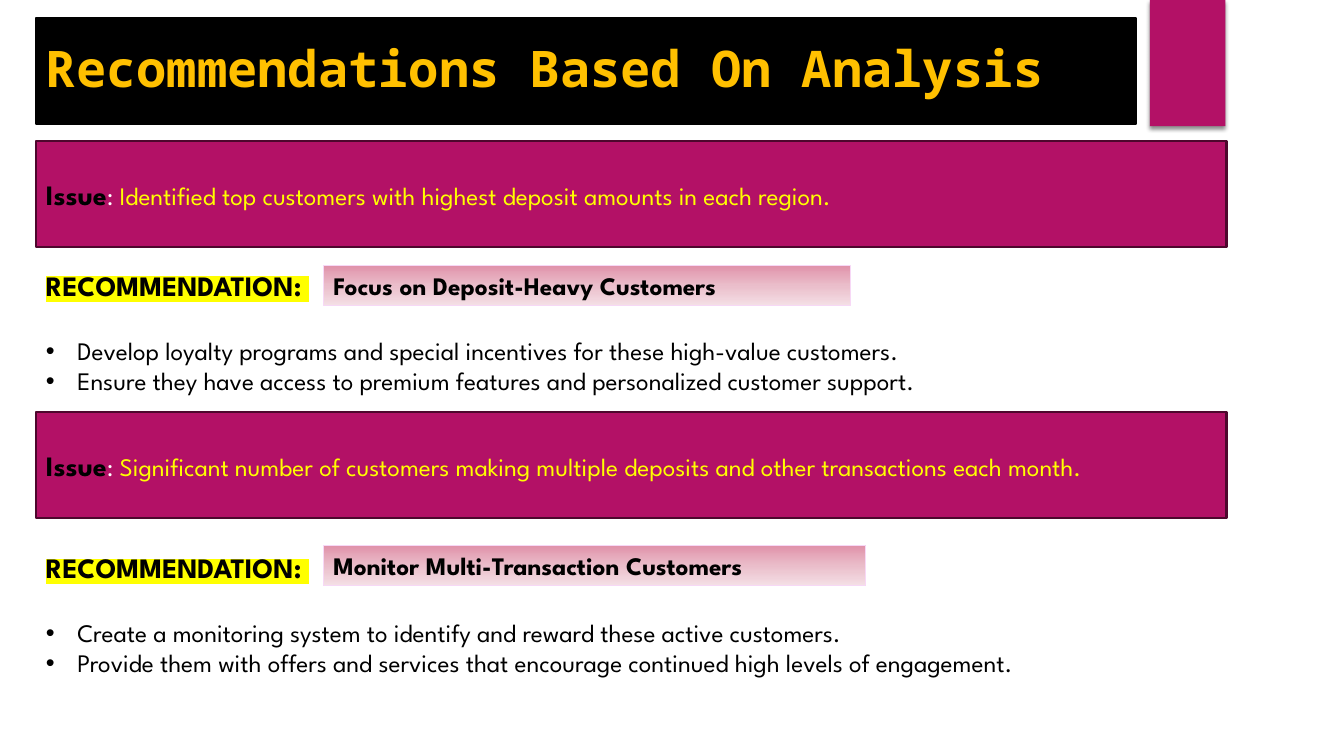
from copy import deepcopy
from dataclasses import dataclass

from lxml import etree
from pptx import Presentation
from pptx.dml.color import RGBColor as Rgb
from pptx.enum.shapes import MSO_SHAPE as Shape
from pptx.enum.text import MSO_ANCHOR as Anchor, MSO_AUTO_SIZE as Fit, PP_ALIGN as Align
from pptx.oxml.ns import qn
from pptx.util import Cm, Pt

TITLE = "Recommendations Based On Analysis"
LABEL = "RECOMMENDATION: "
SECTIONS = [
    {
        "issue": "Identified top customers with highest deposit amounts in each region.",
        "advice": "Focus on Deposit-Heavy Customers",
        "steps": [
            "Develop loyalty programs and special incentives for these high-value customers.",
            "Ensure they have access to premium features and personalized customer support.",
        ],
        "issue_top": 3.56, "notes_top": 6.63, "advice_top": 6.68, "advice_width": 13.28,
    },
    {
        "issue": "Significant number of customers making multiple deposits"
                 " and other transactions each month.",
        "advice": "Monitor Multi-Transaction Customers",
        "steps": [
            "Create a monitoring system to identify and reward these active customers.",
            "Provide them with offers and services that encourage"
            " continued high levels of engagement.",
        ],
        "issue_top": 10.39, "notes_top": 13.74, "advice_top": 13.74, "advice_width": 13.67,
    },
]


@dataclass(frozen=True)
class Theme:
    body_font: str = "League Spartan"
    title_font: str = "Noto Sans Mono"
    title_size: int = 36
    label_size: int = 20
    body_size: int = 18
    black: str = "000000"
    white: str = "FFFFFF"
    gold: str = "FFC000"
    yellow: str = "FFFF00"
    magenta: str = "B31166"
    plum: str = "4E072D"
    advice_line: str = "F7D8F6"
    advice_stops: tuple = ((0, "E091A9"), (0.5, "EABDCA"), (1, "F4DFE5"))


THEME = Theme()
LEFT, WIDTH, BAR_HEIGHT = 0.91, 30, 2.67
NOTES_HEIGHT, ADVICE_LEFT, ADVICE_HEIGHT = 3.51, 8.15, 1.02
BULLET_INDENT = 0.79


def add_span(para, text, size, color, bold=False, font=THEME.body_font):
    span = para.add_run()
    span.text = text
    formats = {"size": Pt(size), "bold": bold, "name": font}
    for name, value in formats.items():
        setattr(span.font, name, value)
    span.font.color.rgb = Rgb.from_string(color)
    return span


def highlight(span, color):
    mark = etree.Element(qn("a:highlight"))
    etree.SubElement(mark, qn("a:srgbClr"), val=color)
    span.font._element.find(qn("a:solidFill")).addnext(mark)


def add_bullet(para):
    props = para._p.get_or_add_pPr()
    props.set("marL", str(Cm(BULLET_INDENT)))
    props.set("indent", str(-Cm(BULLET_INDENT)))
    etree.SubElement(props, qn("a:buFont"), typeface="Arial")
    etree.SubElement(props, qn("a:buChar"), char="•")


def add_box(page, left, top, width, height, fill=None, line=None, line_width=1.5):
    box = page.shapes.add_shape(Shape.RECTANGLE, Cm(left), Cm(top), Cm(width), Cm(height))
    box.shadow.inherit = False
    if fill:
        box.fill.solid()
        box.fill.fore_color.rgb = Rgb.from_string(fill)
    if line:
        box.line.color.rgb = Rgb.from_string(line)
        box.line.width = Pt(line_width)
    else:
        box.line.fill.background()
    box.text_frame.paragraphs[0].alignment = Align.LEFT
    return box


def add_accent(page):
    """Add the corner block with its soft shadow below."""
    box = add_box(page, 28.98, 0, 1.9, 3.18, THEME.magenta)
    effects = box._element.spPr.find(qn("a:effectLst"))
    shadow = etree.SubElement(effects, qn("a:outerShdw"), blurRad=str(Pt(3)),
                              dist=str(Pt(2)), dir="5400000", rotWithShape="0")
    color = etree.SubElement(shadow, qn("a:srgbClr"), val=THEME.black)
    etree.SubElement(color, qn("a:alpha"), val="45000")


def add_title(page):
    box = add_box(page, LEFT, 0.46, 27.71, BAR_HEIGHT, THEME.black, THEME.black)
    para = box.text_frame.paragraphs[0]
    para.line_spacing = 0.9
    add_span(para, TITLE, THEME.title_size, THEME.gold, True, THEME.title_font)


def add_issue(page, section):
    box = add_box(page, LEFT, section["issue_top"], WIDTH, BAR_HEIGHT,
                  THEME.magenta, THEME.plum)
    para = box.text_frame.paragraphs[0]
    add_span(para, "Issue", THEME.label_size, THEME.black, True)
    add_span(para, ": ", THEME.body_size, THEME.white)
    add_span(para, section["issue"], THEME.body_size, THEME.yellow)


def add_notes(page, section):
    """Add the highlighted label and the bulleted steps under it."""
    box = page.shapes.add_textbox(Cm(LEFT), Cm(section["notes_top"]),
                                  Cm(WIDTH), Cm(NOTES_HEIGHT))
    frame = box.text_frame
    frame.word_wrap = True
    frame.auto_size = Fit.SHAPE_TO_FIT_TEXT
    label = add_span(frame.paragraphs[0], LABEL, THEME.label_size, THEME.black, True)
    highlight(label, THEME.yellow)
    for index, step in enumerate(section["steps"]):
        para = frame.add_paragraph()
        para.space_before = Pt(0 if index else 24)
        add_bullet(para)
        add_span(para, step, THEME.body_size, THEME.black)


def add_advice(page, section):
    box = add_box(page, ADVICE_LEFT, section["advice_top"], section["advice_width"],
                  ADVICE_HEIGHT, line=THEME.advice_line, line_width=0.75)
    box.fill.gradient()
    box.fill.gradient_angle = 270
    stops = box._element.spPr.find(qn("a:gradFill")).find(qn("a:gsLst"))
    stops.insert(1, deepcopy(stops[0]))
    for stop, (position, color) in zip(box.fill.gradient_stops, THEME.advice_stops):
        stop.position = position
        stop.color.rgb = Rgb.from_string(color)
    frame = box.text_frame
    frame.vertical_anchor = Anchor.TOP
    frame.auto_size = Fit.SHAPE_TO_FIT_TEXT
    add_span(frame.paragraphs[0], section["advice"], THEME.body_size, THEME.black, True)


def main():
    deck = Presentation()
    deck.slide_width, deck.slide_height = Cm(33.87), Cm(19.05)
    page = deck.slides.add_slide(deck.slide_layouts[6])
    add_accent(page)
    add_title(page)
    for section in SECTIONS:
        add_issue(page, section)
        add_notes(page, section)
        add_advice(page, section)
    deck.save("out.pptx")


if __name__ == "__main__":
    main()
